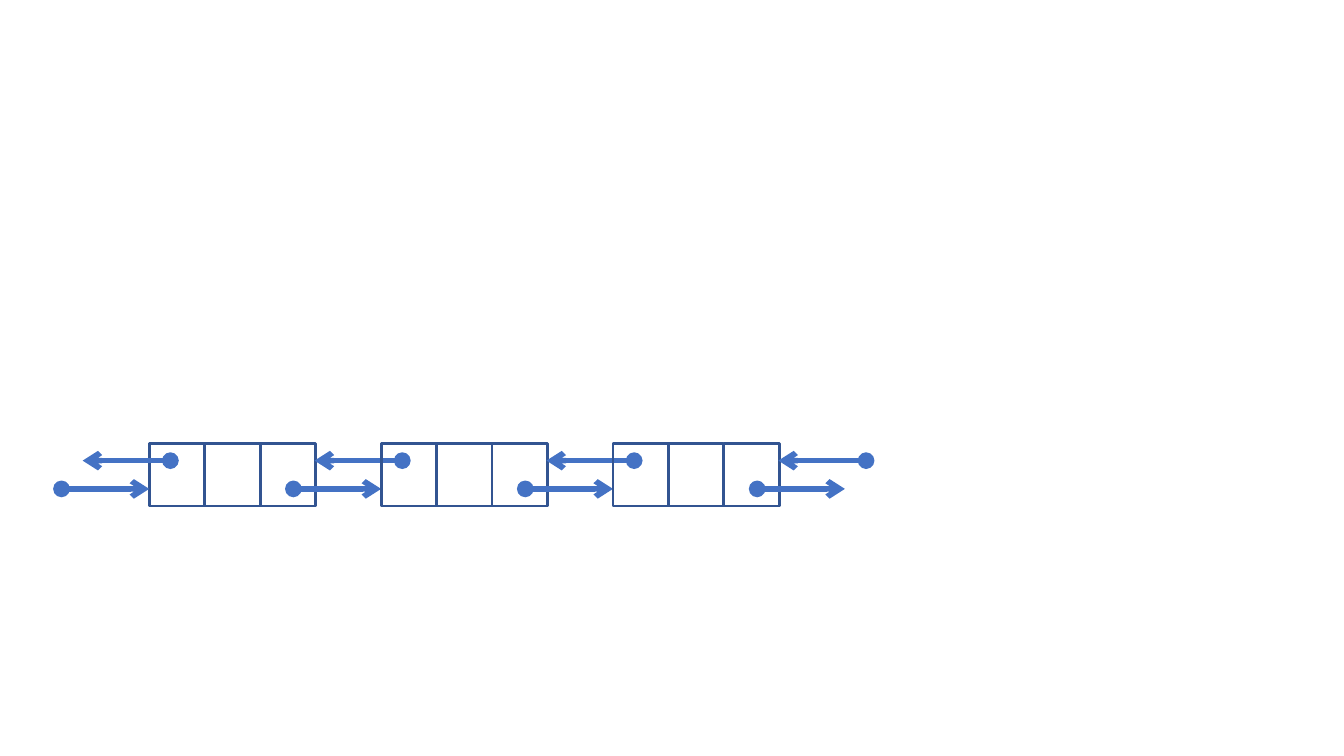
"""Draw a doubly linked list of three nodes."""
from dataclasses import dataclass

from lxml import etree
from pptx import Presentation
from pptx import util as u
from pptx.dml.color import RGBColor
from pptx.enum import shapes
from pptx.oxml.ns import qn


@dataclass(frozen=True)
class Theme:
    """Colours and line widths of the slide."""
    cell_line: RGBColor = RGBColor(0x32, 0x54, 0x91)
    link_line: RGBColor = RGBColor(0x44, 0x72, 0xC4)
    cell_width: float = 2
    link_width: float = 4


THEME = Theme()
NODE_COUNT, CELLS_PER_NODE = 3, 3
FIRST_NODE, NODE_PITCH = 1.48, 2.3
CELL_TOP, CELL_WIDTH, CELL_HEIGHT = 4.4, 0.55, 0.62
NEXT_LINK = {"start": 1.43, "end": 2.3, "y": 4.85}
PREVIOUS_LINK = {"start": 2.51, "end": 1.64, "y": 4.57}


def style_line(line, color, width):
    """Give a line its colour and its width in points."""
    line.color.rgb = color
    line.width = u.Pt(width)


def add_cell(canvas, left):
    """Add one hollow cell of a node."""
    cell = canvas.add_shape(
        shapes.MSO_SHAPE.RECTANGLE, u.Inches(left), u.Inches(CELL_TOP),
        u.Inches(CELL_WIDTH), u.Inches(CELL_HEIGHT))
    cell.shadow.inherit = False
    cell.fill.background()
    style_line(cell.line, THEME.cell_line, THEME.cell_width)


def add_link(canvas, node_left, start, end, y):
    """Add a pointer with a round tail and an arrow tip."""
    link = canvas.add_connector(
        shapes.MSO_CONNECTOR.STRAIGHT, u.Inches(node_left + start), u.Inches(y),
        u.Inches(node_left + end), u.Inches(y))
    style_line(link.line, THEME.link_line, THEME.link_width)
    outline = link.line._get_or_add_ln()
    for tag, kind in {"a:headEnd": "oval", "a:tailEnd": "arrow"}.items():
        etree.SubElement(outline, qn(tag), type=kind)
    etree.SubElement(link._element.spPr, qn("a:effectLst"))


def add_links(canvas, node_left):
    """Add both pointers between a node and its successor."""
    for link in (NEXT_LINK, PREVIOUS_LINK):
        add_link(canvas, node_left, **link)


def add_node(slide, left):
    """Add a group with the cells of a node and its pointers."""
    node = slide.shapes.add_group_shape().shapes
    for column in range(CELLS_PER_NODE):
        add_cell(node, left + column * CELL_WIDTH)
    add_links(node, left)


def main():
    """Build and save the slide."""
    deck = Presentation()
    for side, inches in {"slide_width": 13.33, "slide_height": 7.5}.items():
        setattr(deck, side, u.Inches(inches))
    slide = deck.slides.add_slide(deck.slide_layouts[6])
    for index in range(NODE_COUNT):
        add_node(slide, FIRST_NODE + index * NODE_PITCH)
    add_links(slide.shapes, FIRST_NODE - NODE_PITCH)
    deck.save("out.pptx")


if __name__ == "__main__":
    main()
